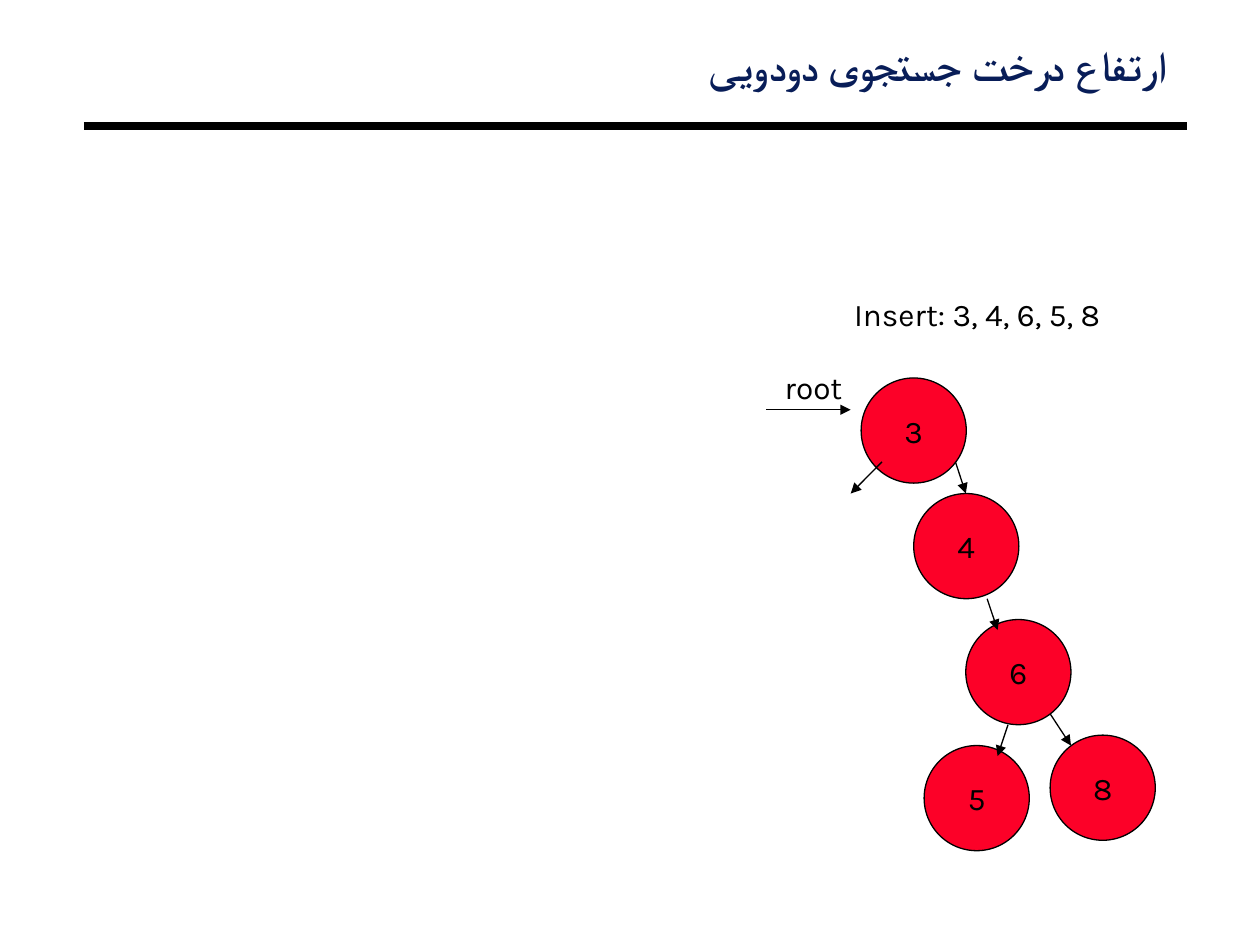
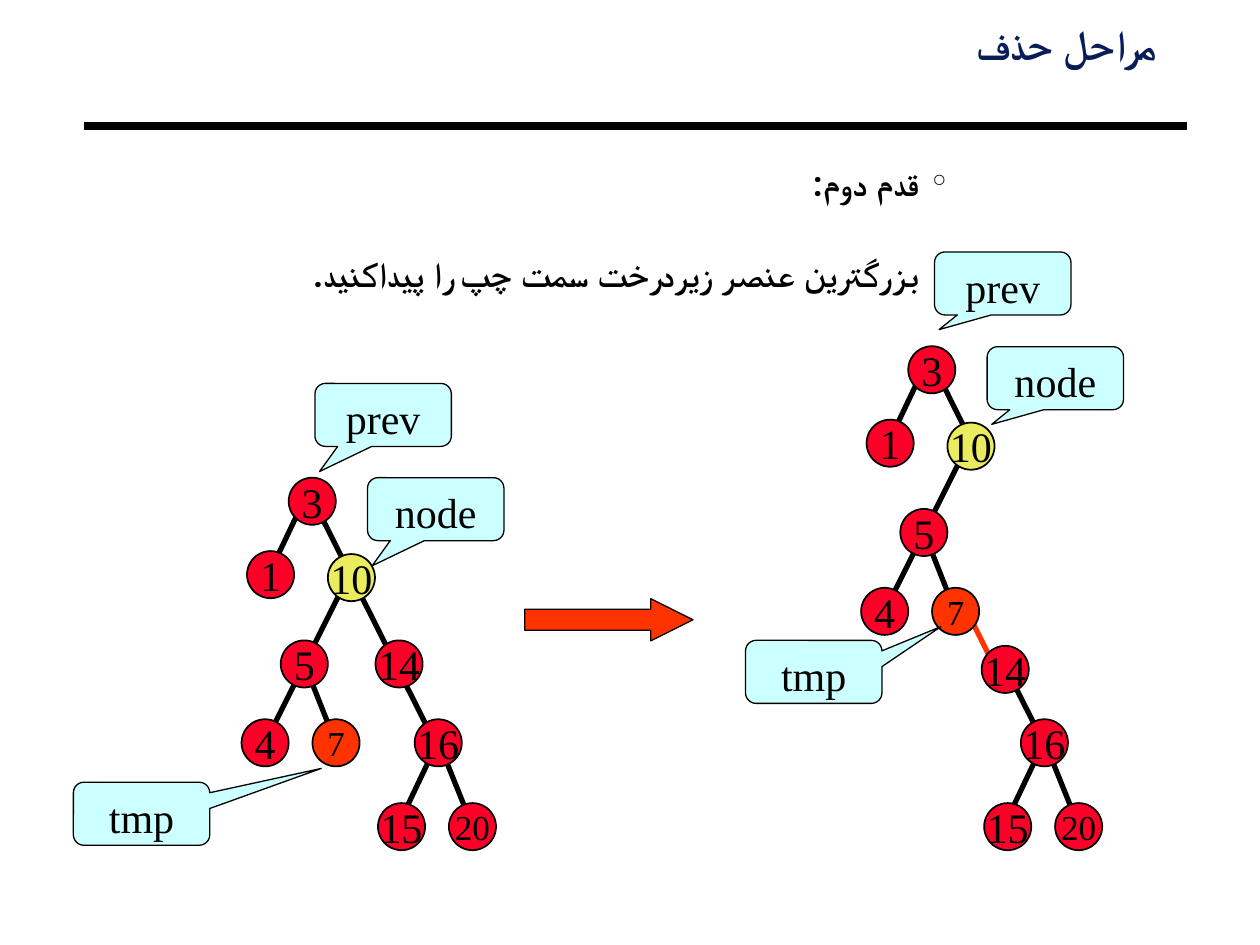
from lxml import etree
from pptx import Presentation
from pptx import util as u
from pptx.dml.color import RGBColor
from pptx.enum import shapes, text
from pptx.oxml.ns import qn

Cm, Pt = u.Cm, u.Pt
COLORS = {"ink": "000000", "title": "081D58", "node": "FC0128", "current": "EAEC5E",
          "moved": "FF3300", "callout": "CCFFFF"}
TREE_FONT = "Times New Roman"


def write(sp, words, size, font, color="ink", bold=False, align=text.PP_ALIGN.CENTER,
          anchor=text.MSO_ANCHOR.MIDDLE, wrap=False, rtl=False, spacing=None):
    tf = sp.text_frame
    tf.word_wrap = wrap
    tf.vertical_anchor = anchor
    for i, line in enumerate(words.split("\n")):
        p = tf.add_paragraph() if i else tf.paragraphs[0]
        p.alignment = align
        if spacing:
            p.line_spacing = spacing
        r = p.add_run()
        r.text = line
        r.font.size = Pt(size)
        r.font.name = font
        r.font.bold = bold
        r.font.color.rgb = RGBColor.from_string(COLORS[color])
        if rtl:
            p._p.get_or_add_pPr().set("rtl", "1")
            etree.SubElement(r._r.rPr, qn("a:cs"), typeface=font)
    if rtl:
        tf.margin_left = tf.margin_right = Cm(0.18)
        tf.margin_top = tf.margin_bottom = Cm(0.08)


def connect(s, x1, y1, x2, y2, width, color="ink", arrow=False):
    c = s.shapes.add_connector(shapes.MSO_CONNECTOR.STRAIGHT, Cm(x1), Cm(y1), Cm(x2), Cm(y2))
    c.line.width = Pt(width)
    c.line.color.rgb = RGBColor.from_string(COLORS[color])
    if arrow:
        etree.SubElement(c.line._get_or_add_ln(), qn("a:tailEnd"), type="triangle")
    etree.SubElement(c._element.spPr, qn("a:effectLst"))


prs = Presentation()
prs.slide_width, prs.slide_height = Cm(25.4), Cm(19.05)

titles = [("ارتفاع درخت جستجوی دودویی", 1.69, 0.86, 22.03),
          ("مراحل حذف", 1.91, 0.43, 21.59)]
for title, x, y, w in titles:
    s = prs.slides.add_slide(prs.slide_layouts[6])
    connect(s, 1.69, 2.54, 23.92, 2.54, 4.5)
    sp = s.shapes.add_textbox(Cm(x), Cm(y), Cm(w), Cm(1.07))
    write(sp, title, 24, "Lato", "title", True, text.PP_ALIGN.RIGHT, text.MSO_ANCHOR.TOP,
          wrap=True, rtl=True, spacing=0.87)
insert_slide, delete_slide = prs.slides

s = insert_slide
for words, x, y, w in [("Insert: 3, 4, 6, 5, 8", 16.97, 5.82, 5.77), ("root", 15.57, 7.29, 1.75)]:
    sp = s.shapes.add_textbox(Cm(x), Cm(y), Cm(w), Cm(1.02))
    write(sp, words, 18, "Karla", align=text.PP_ALIGN.LEFT, anchor=text.MSO_ANCHOR.TOP)

filled = []
for key, x, y in [("3", 17.36, 7.62), ("4", 18.42, 9.95), ("6", 19.47, 12.49),
                  ("5", 18.63, 15.03), ("8", 21.17, 14.82)]:
    sp = s.shapes.add_shape(shapes.MSO_SHAPE.OVAL, Cm(x), Cm(y), Cm(2.12), Cm(2.12))
    write(sp, key, 18, "Karla")
    filled.append((sp, "node", 0.75))

for ends in [(17.78, 9.31, 17.15, 9.95), (19.26, 9.31, 19.47, 9.95), (15.45, 8.26, 17.15, 8.26),
             (19.9, 12.07, 20.11, 12.7), (21.17, 14.39, 21.59, 15.03),
             (20.32, 14.61, 20.11, 15.24)]:
    connect(s, *ends, 0.75, arrow=True)

s = delete_slide
sp = s.shapes.add_textbox(Cm(0.42), Cm(2.75), Cm(18.85), Cm(3.25))
write(sp, "قدم دوم:\nبزرگترین عنصر زیردرخت سمت چپ را پیداکنید.", 20, "Roboto", "ink", True,
      text.PP_ALIGN.RIGHT, text.MSO_ANCHOR.TOP, wrap=True, rtl=True, spacing=1.5)
for p in sp.text_frame.paragraphs:
    p.space_before = Pt(16.2)
    pPr = p._p.pPr
    pPr.set("marL", str(Cm(0.56)))
    pPr.set("indent", str(-Cm(0.56)))
    bullet_color = etree.SubElement(pPr, qn("a:buClr"))
    etree.SubElement(bullet_color, qn("a:srgbClr"), val=COLORS["ink"])
    etree.SubElement(pPr, qn("a:buChar"), char="°")

upper_nodes = [("10", 6.61, 11.17), ("5", 5.66, 12.91), ("4", 4.87, 14.5), ("7", 6.3, 14.5),
               ("1", 4.98, 11.11), ("3", 5.82, 9.63)]
lower_nodes = [("16", 8.36, 14.5), ("15", 7.62, 16.19), ("20", 9.05, 16.19)]
upper_edges = [(6.14, 10.06, 5.29, 11.85), (6.93, 11.8, 5.34, 14.98), (6.14, 13.39, 6.77, 14.98)]
lower_edges = [(8.89, 15.08, 9.53, 16.67), (8.89, 14.82, 8.04, 16.61)]
node_colors = {"10": "current", "7": "moved"}

before = {
    "upper": (0, 0), "lower": (0, 0), "14": (7.57, 12.91),
    "links": [(6.35, 10.16, 8.85, 15.13, 3)],
    "callouts": [("node", 7.41, 9.63, -0.466, 0.899), ("prev", 6.35, 7.73, -0.466, 0.899),
                 ("tmp", 1.48, 15.77, 1.317, -0.719)],
}
after = {
    "upper": (12.49, -2.65), "lower": (12.22, 0), "14": (7.57, 13.02),
    "links": [(19.47, 12.28, 20.11, 13.55, 3, "moved"), (18.84, 7.41, 19.47, 8.68, 3),
              (20.32, 13.55, 20.96, 14.82, 3)],
    "callouts": [("node", 19.9, 6.99, -0.466, 0.733), ("prev", 18.84, 5.08, -0.466, 0.733),
                 ("tmp", 15.03, 12.91, 0.933, -0.719)],
}
for tree in (before, after):
    parts = [(tree["upper"], upper_nodes, upper_edges),
             (tree["lower"], [("14", *tree["14"])] + lower_nodes, lower_edges)]
    for link in tree["links"]:
        connect(s, *link)
    for (dx, dy), nodes, edges in parts:
        for x1, y1, x2, y2 in edges:
            connect(s, x1 + dx, y1 + dy, x2 + dx, y2 + dy, 3)
    for (dx, dy), nodes, edges in parts:
        for key, x, y in nodes:
            sp = s.shapes.add_shape(shapes.MSO_SHAPE.OVAL, Cm(x + dx), Cm(y + dy),
                                    Cm(0.95), Cm(0.95))
            write(sp, key, 20 if key in ("7", "20") else 24, TREE_FONT)
            filled.append((sp, node_colors.get(key, "node"), 1))
    for name, x, y, tip_x, tip_y in tree["callouts"]:
        sp = s.shapes.add_shape(shapes.MSO_SHAPE.ROUNDED_RECTANGULAR_CALLOUT, Cm(x), Cm(y),
                                Cm(2.75), Cm(1.27))
        sp.adjustments[0], sp.adjustments[1] = tip_x, tip_y
        write(sp, name, 24, TREE_FONT, anchor=text.MSO_ANCHOR.TOP, wrap=True)
        filled.append((sp, "callout", 0.75))

sp = s.shapes.add_shape(shapes.MSO_SHAPE.RIGHT_ARROW, Cm(10.58), Cm(12.07), Cm(3.39), Cm(0.85))
sp.adjustments[1] = 1
filled.append((sp, "moved", 0.75))

for sp, color, width in filled:
    sp.shadow.inherit = False
    sp.fill.solid()
    sp.fill.fore_color.rgb = RGBColor.from_string(COLORS[color])
    sp.line.color.rgb = RGBColor.from_string(COLORS["ink"])
    sp.line.width = Pt(width)

prs.save("out.pptx")
